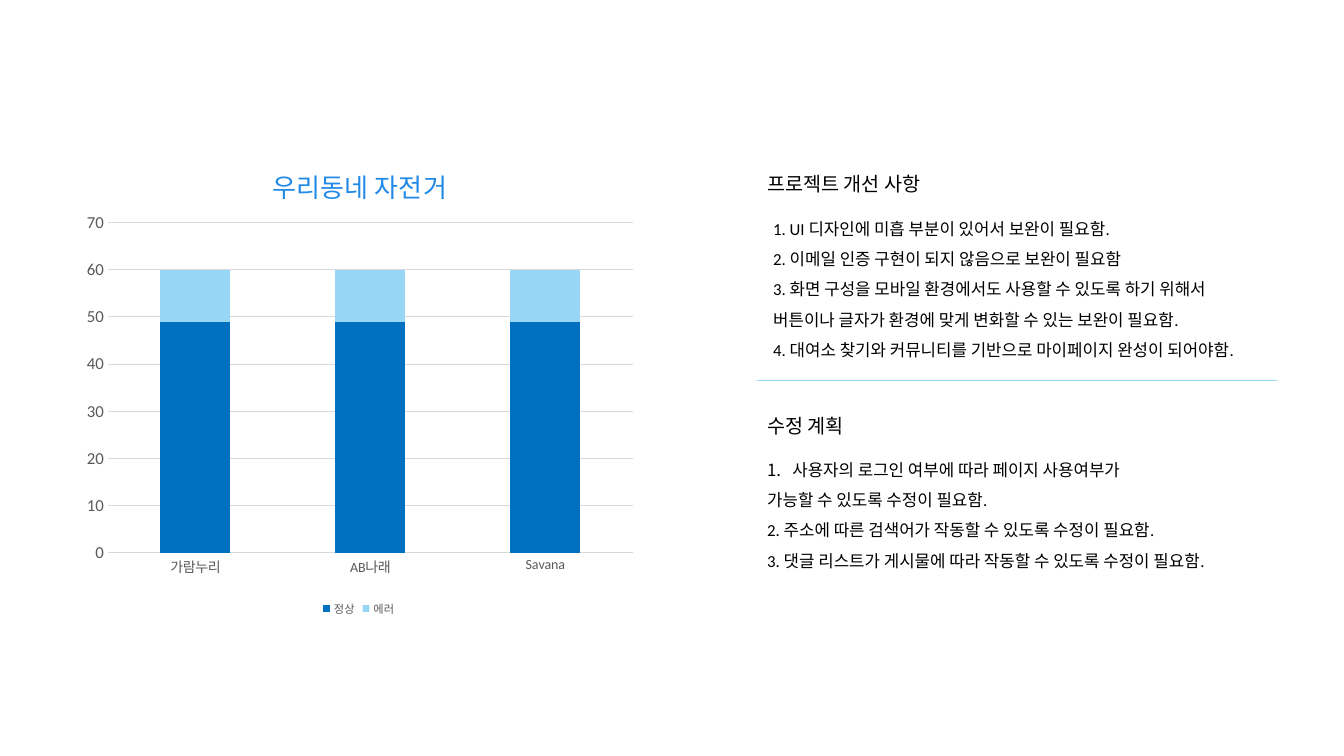
from dataclasses import dataclass

from lxml import etree
from pptx import Presentation
from pptx import util as u
from pptx.chart import data as chart_data
from pptx.dml import color
from pptx.enum import chart as chart_enum, shapes, text
from pptx.oxml import parse_xml, ns


@dataclass
class Theme:
    font: str = "Calibri"
    ink: str = "000000"
    muted: str = "595959"
    grid: str = "D9D9D9"
    title: str = "228AE6"
    normal: str = "0070C0"
    error: str = "98D6F6"
    chart_title_size: float = 18.6
    heading_size: float = 14
    body_size: float = 12
    category_size: float = 10
    legend_size: float = 8


class SlideBuilder:
    """Places elements by percentages of the slide's width and height."""

    def __init__(self, deck, theme):
        self.deck, self.theme = deck, theme
        self.page = deck.slides.add_slide(deck.slide_layouts[6])

    def x(self, share):
        return round(self.deck.slide_width * share / 100)

    def y(self, share):
        return round(self.deck.slide_height * share / 100)

    def area(self, left, top, width, height):
        return self.x(left), self.y(top), self.x(width), self.y(height)

    def style(self, font, size, tint):
        font.name, font.size, font.bold = self.theme.font, u.Pt(size), False
        font.color.rgb = color.RGBColor.from_string(tint)

    def stroke(self, line, tint, width):
        line.color.rgb = color.RGBColor.from_string(tint)
        line.width = u.Pt(width)

    def text(self, area, lines, size, spacing=1.0, numbered=()):
        box = self.page.shapes.add_textbox(*self.area(*area))
        frame = box.text_frame
        frame.word_wrap = False
        frame.auto_size = text.MSO_AUTO_SIZE.SHAPE_TO_FIT_TEXT
        for index, line in enumerate(lines):
            para = frame.paragraphs[0] if index == 0 else frame.add_paragraph()
            para.line_spacing = spacing
            span = para.add_run()
            span.text = line
            self.style(span.font, size, self.theme.ink)
            if index in numbered:
                self.number(para)

    def number(self, para):
        props = para._p.get_or_add_pPr()
        indent = u.Inches(0.25)
        props.set("marL", str(indent))
        props.set("indent", str(-indent))
        bullet = etree.SubElement(props, ns.qn("a:buAutoNum"))
        bullet.set("type", "arabicPeriod")

    def line(self, left, right, height, tint, width):
        rule = self.page.shapes.add_connector(
            shapes.MSO_CONNECTOR.STRAIGHT,
            self.x(left), self.y(height), self.x(right), self.y(height))
        self.stroke(rule.line, tint, width)
        etree.SubElement(rule._element.spPr, ns.qn("a:effectLst"))

    def layout(self, target, **shares):
        """Fixes a chart part at shares of the chart area."""
        for old in target.findall(ns.qn("c:layout")):
            target.remove(old)
        modes = '<c:xMode val="edge"/><c:yMode val="edge"/>'
        if "w" in shares:
            modes = '<c:layoutTarget val="inner"/>' + modes
        values = "".join(f'<c:{key} val="{share}"/>' for key, share in shares.items())
        return parse_xml(f'<c:layout {ns.nsdecls("c")}><c:manualLayout>'
                         f'{modes}{values}</c:manualLayout></c:layout>')

    def stacked_chart(self, area, title, categories, series):
        theme = self.theme
        data = chart_data.CategoryChartData()
        data.categories = categories
        for name, values, _ in series:
            data.add_series(name, values)
        chart = self.page.shapes.add_chart(
            chart_enum.XL_CHART_TYPE.COLUMN_STACKED, *self.area(*area), data).chart
        self.style(chart.font, theme.category_size, theme.ink)

        # Columns
        plot = chart.plots[0]
        plot.gap_width, plot.overlap, plot.vary_by_categories = 150, 100, False
        for column, (_, _, tint) in zip(plot.series, series):
            column.format.fill.solid()
            column.format.fill.fore_color.rgb = color.RGBColor.from_string(tint)

        # Axes
        for axis, size in ((chart.category_axis, theme.category_size),
                           (chart.value_axis, theme.body_size)):
            axis.major_tick_mark = chart_enum.XL_TICK_MARK.NONE
            axis.minor_tick_mark = chart_enum.XL_TICK_MARK.NONE
            self.style(axis.tick_labels.font, size, theme.muted)
        self.stroke(chart.category_axis.format.line, theme.grid, 0.75)
        scale = chart.value_axis
        scale.minimum_scale, scale.maximum_scale, scale.major_unit = 0, 70, 10
        scale.format.line.fill.background()
        self.stroke(scale.major_gridlines.format.line, theme.grid, 0.75)

        # Title and legend
        chart.has_title = True
        span = chart.chart_title.text_frame.paragraphs[0].add_run()
        span.text = title
        self.style(span.font, theme.chart_title_size, theme.title)
        chart.has_legend = True
        chart.legend.position = chart_enum.XL_LEGEND_POSITION.BOTTOM
        chart.legend.include_in_layout = False
        self.style(chart.legend.font, theme.legend_size, theme.muted)

        # Fixed places of title and plot
        heading = chart.chart_title._element
        place = self.layout(heading, x=0.34, y=0.05)
        heading.find(ns.qn("c:tx")).addnext(place)
        plot_area = chart._chartSpace.chart.plotArea
        plot_area.insert(0, self.layout(plot_area, x=0.06, y=0.18, w=0.92, h=0.68))


deck = Presentation()
deck.slide_width, deck.slide_height = u.Inches(13.33), u.Inches(7.5)
theme = Theme()
slide = SlideBuilder(deck, theme)
LEFT = 56.34

# Test results by browser
slide.stacked_chart(
    (5.48, 17.87, 42.46, 64.27), "우리동네 자전거",
    ["가람누리", "AB나래", "Savana"],
    [("정상", [49] * 3, theme.normal), ("에러", [11] * 3, theme.error)])

# Improvements
slide.text((LEFT, 22.13, 13.73, 4.53), ["프로젝트 개선 사항"], theme.heading_size)
slide.text((56.79, 26.93, 38.33, 21.07), [
    "1. UI 디자인에 미흡 부분이 있어서 보완이 필요함.",
    "2. 이메일 인증 구현이 되지 않음으로 보완이 필요함",
    "3. 화면 구성을 모바일 환경에서도 사용할 수 있도록 하기 위해서",
    "버튼이나 글자가 환경에 맞게 변화할 수 있는 보완이 필요함.",
    "4. 대여소 찾기와 커뮤니티를 기반으로 마이페이지 완성이 되어야함.",
], theme.body_size, spacing=1.5)

slide.line(LEFT, 95.05, 50.27, theme.error, 0.5)

# Revision plan
slide.text((LEFT, 54.13, 7.65, 4.53), ["수정 계획"], theme.heading_size)
slide.text((LEFT, 58.8, 36.61, 17.07), [
    "사용자의 로그인 여부에 따라 페이지 사용여부가 ",
    "가능할 수 있도록 수정이 필요함. ",
    "2. 주소에 따른 검색어가 작동할 수 있도록 수정이 필요함.",
    "3. 댓글 리스트가 게시물에 따라 작동할 수 있도록 수정이 필요함.",
], theme.body_size, spacing=1.5, numbered=(0,))

deck.save("out.pptx")
